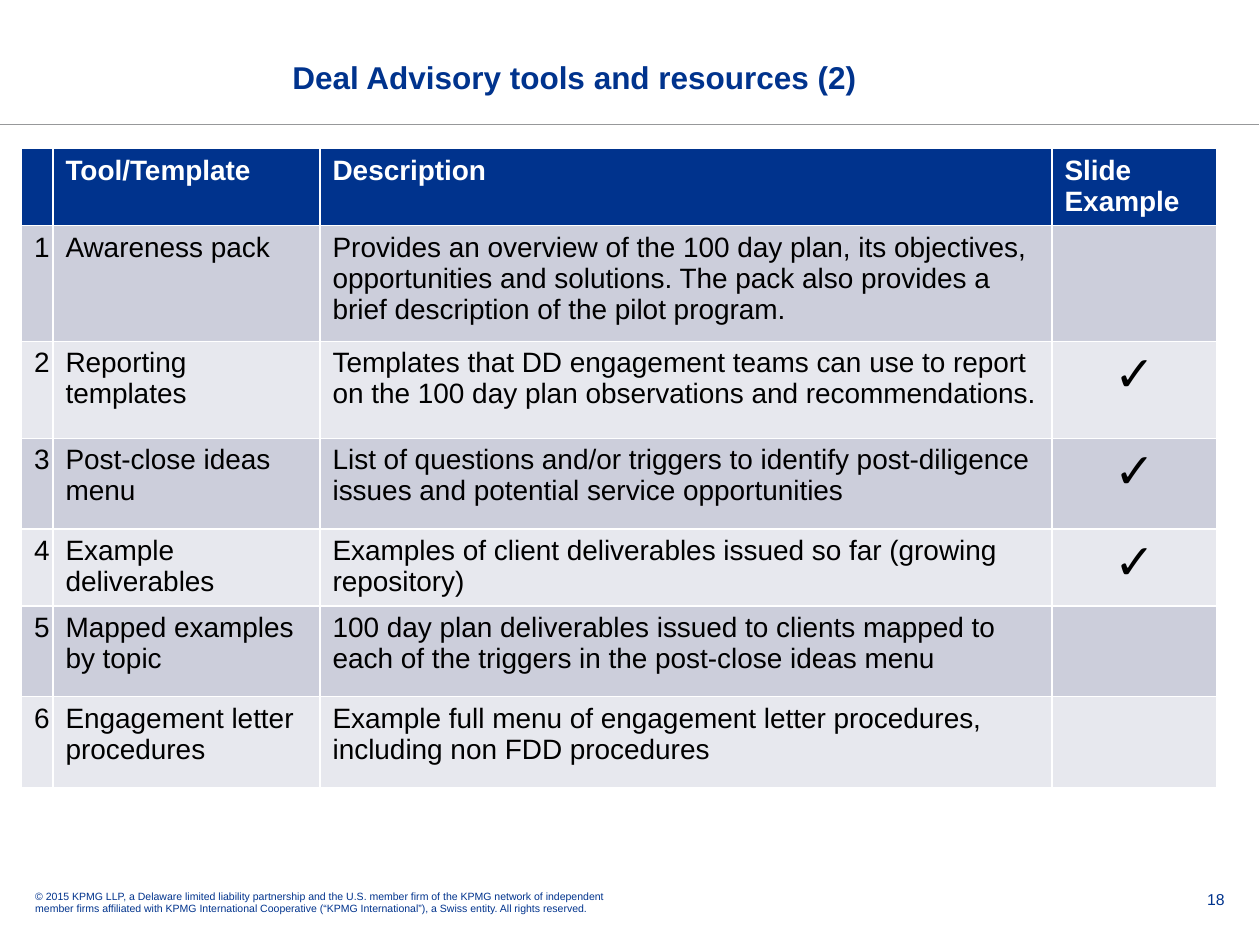
"""Build the slide listing Deal Advisory tools and resources."""
from dataclasses import dataclass

from lxml import etree
from pptx import Presentation
from pptx.dml.color import RGBColor
from pptx.enum.shapes import MSO_CONNECTOR
from pptx.enum.text import MSO_ANCHOR, MSO_AUTO_SIZE, PP_ALIGN
from pptx.oxml.ns import qn
from pptx.util import Inches, Pt

STRAIGHT = MSO_CONNECTOR.STRAIGHT
BOTTOM = MSO_ANCHOR.BOTTOM
NO_AUTOFIT = MSO_AUTO_SIZE.NONE
LEFT, CENTER, RIGHT = PP_ALIGN.LEFT, PP_ALIGN.CENTER, PP_ALIGN.RIGHT


@dataclass(frozen=True)
class Theme:
    font: str = "Arial"
    navy: RGBColor = RGBColor.from_string("00338D")
    white: RGBColor = RGBColor.from_string("FFFFFF")
    black: RGBColor = RGBColor.from_string("000000")
    rule: RGBColor = RGBColor.from_string("97989A")
    bands: tuple = (RGBColor.from_string("CCCEDB"), RGBColor.from_string("E7E8EE"))
    title: int = 18
    body: int = 16
    check: int = 28
    number: int = 9
    copyright: int = 6


theme = Theme()


def style(paragraph, size, color, bold=False, alignment=LEFT):
    paragraph.alignment = alignment
    paragraph.font.name = theme.font
    paragraph.font.size = Pt(size)
    paragraph.font.bold = bold
    paragraph.font.color.rgb = color


def set_insets(frame, left, top):
    frame.margin_left, frame.margin_top = Inches(left), Inches(top)
    frame.margin_right = frame.margin_bottom = 0
    frame.word_wrap = True
    frame.auto_size = NO_AUTOFIT


presentation = Presentation()
presentation.slide_width = Inches(10)
presentation.slide_height = Inches(7.5)
slide = presentation.slides.add_slide(presentation.slide_layouts[5])

title = slide.shapes.title
title.left, title.top = Inches(2.32), Inches(0.13)
title.width, title.height = Inches(7.4), Inches(0.63)
title.text_frame.text = "Deal Advisory tools and resources (2)"
title.text_frame.vertical_anchor = BOTTOM
set_insets(title.text_frame, 0, 0)
style(title.text_frame.paragraphs[0], theme.title, theme.navy, bold=True)

rule = slide.shapes.add_connector(STRAIGHT, 0, Inches(0.99), Inches(9.99), Inches(0.99))
rule.line.color.rgb = theme.rule
rule.line.width = Pt(0.5)
etree.SubElement(rule._element.spPr, qn("a:effectLst"))

column_widths = (0.25, 2.12, 5.81, 1.31)
row_heights = (0.61, 0.92, 0.77, 0.72, 0.61, 0.72, 0.72)
rows = (
    ("", "Tool/Template", "Description", "Slide Example"),
    ("1", "Awareness pack",
     "Provides an overview of the 100 day plan, its objectives, opportunities and "
     "solutions. The pack also provides a brief description of the pilot program.", ""),
    ("2", "Reporting templates",
     "Templates that DD engagement teams can use to report on the 100 day plan "
     "observations and recommendations.", "✓"),
    ("3", "Post-close ideas menu",
     "List of questions and/or triggers to identify post-diligence issues and "
     "potential service opportunities", "✓"),
    ("4", "Example deliverables",
     "Examples of client deliverables issued so far (growing repository)", "✓"),
    ("5", "Mapped examples by topic",
     "100 day plan deliverables issued to clients mapped to each of the triggers "
     "in the post-close ideas menu", ""),
    ("6", "Engagement letter procedures",
     "Example full menu of engagement letter procedures, including non FDD procedures", ""),
)
table = slide.shapes.add_table(
    len(rows), len(column_widths), Inches(0.17), Inches(1.18),
    Inches(sum(column_widths)), Inches(sum(row_heights))).table
for column, width in zip(table.columns, column_widths):
    column.width = Inches(width)
for row_index, (row, height) in enumerate(zip(rows, row_heights)):
    table.rows[row_index].height = Inches(height)
    header = row_index == 0
    for column_index, text in enumerate(row):
        cell = table.cell(row_index, column_index)
        cell.fill.solid()
        cell.fill.fore_color.rgb = theme.navy if header else theme.bands[(row_index - 1) % 2]
        if column_index == 0:
            cell.margin_right = 0
        cell.text = text
        check = text == "✓"
        style(cell.text_frame.paragraphs[0], theme.check if check else theme.body,
              theme.white if header else theme.black, header, CENTER if check else LEFT)

copyright_line = (
    "© 2015 KPMG LLP, a Delaware limited liability partnership and the U.S. member firm "
    "of the KPMG network of independent member firms affiliated with KPMG International "
    "Cooperative (“KPMG International”), a Swiss entity. All rights reserved.")
footers = (
    (0.28, 4.66, 0.28, 0, copyright_line, theme.copyright, LEFT),
    (9.17, 0.55, 0.31, 0.08, "18", theme.number, RIGHT),
)
for left, width, height, inset, text, size, alignment in footers:
    box = slide.shapes.add_textbox(Inches(left), Inches(6.98), Inches(width), Inches(height))
    set_insets(box.text_frame, inset, 0.08)
    box.text_frame.text = text
    style(box.text_frame.paragraphs[0], size, theme.navy, alignment=alignment)

presentation.save("out.pptx")
